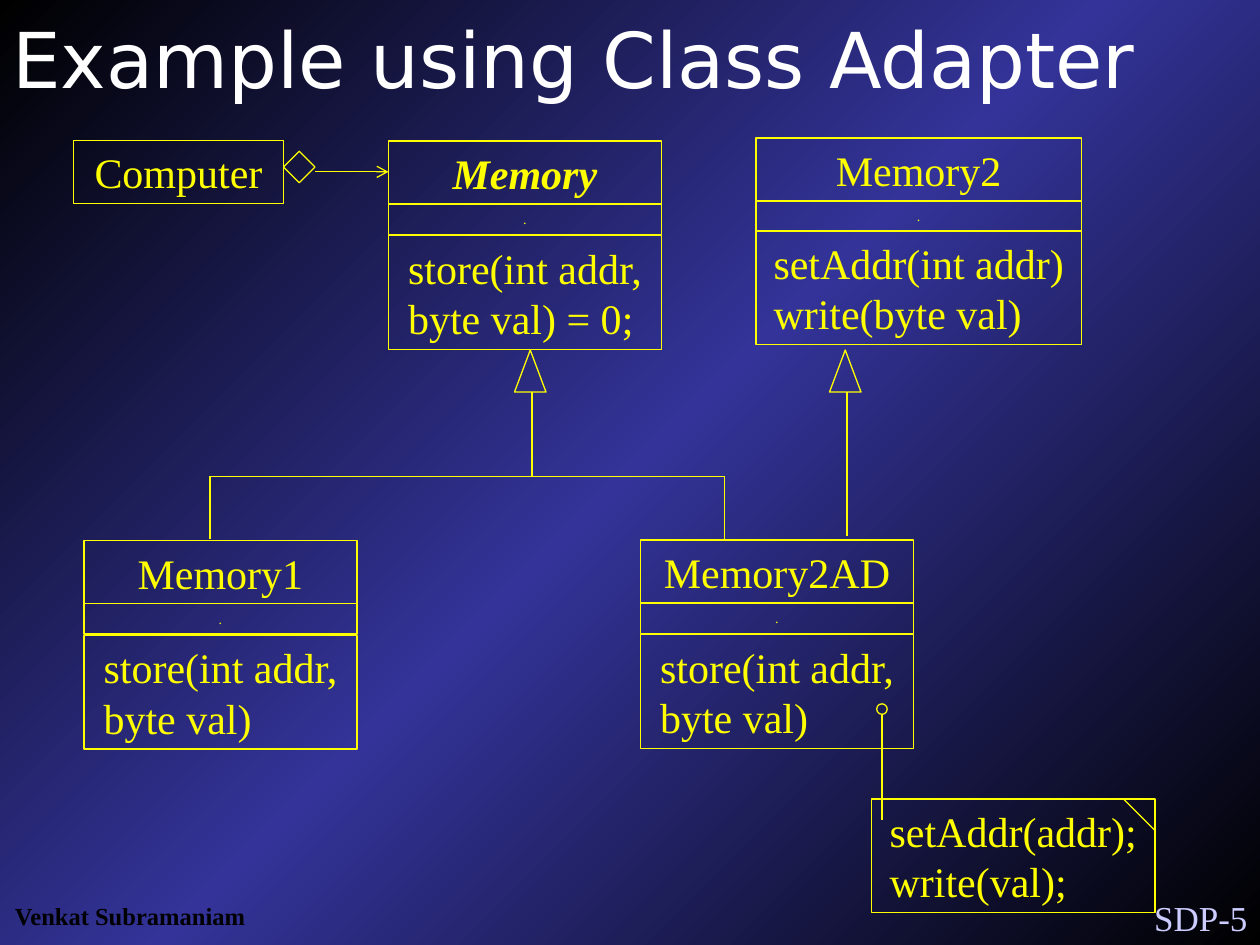
from lxml.etree import SubElement
from pptx import Presentation
from pptx.dml.color import RGBColor
from pptx.enum.shapes import MSO_CONNECTOR as CONN, MSO_SHAPE as SHAPE
from pptx.enum.text import MSO_ANCHOR as ANCHOR, MSO_AUTO_SIZE as FIT, PP_ALIGN as ALIGN
from pptx.oxml.ns import qn
from pptx.util import Pt

COLORS = {"ink": "FFFF00", "title": "FFFFFF", "number": "CCCCFF",
          "dark": "000000", "glow": "333399"}
SERIF, SANS = "Times New Roman", "DejaVu Sans"


class Diagram:
    """Holds the drawing style and the current slide."""

    def __init__(self, slide, line_width=0.75):
        self.s = slide
        self.line_width = Pt(line_width)

    def color(self, name):
        return RGBColor.from_string(COLORS[name])

    def background(self, stops, angle):
        fill = self.s.background.fill
        fill.gradient()
        fill.gradient_angle = angle
        stop_list = self.s.element.find(".//" + qn("a:gsLst"))
        for old in list(stop_list):
            stop_list.remove(old)
        for percent, name in stops:
            stop = SubElement(stop_list, qn("a:gs"), pos=str(percent * 1000))
            SubElement(stop, qn("a:srgbClr"), val=COLORS[name])

    def set_text(self, sp, text, color="ink", align=ALIGN.LEFT, before=0,
                 frame=None, **font):
        tf = sp.text_frame
        for key, value in {"word_wrap": True, **(frame or {})}.items():
            setattr(tf, key, value)
        p = tf.paragraphs[0]
        p.alignment, p.space_before = align, Pt(before)
        r = p.add_run()
        r.text = text
        r.font.color.rgb = self.color(color)
        for key, value in {"name": SERIF, "size": Pt(24), **font}.items():
            setattr(r.font, key, value)

    def label(self, x, y, w, h, text, **style):
        sp = self.s.shapes.add_textbox(Pt(x), Pt(y), Pt(w), Pt(h))
        self.set_text(sp, text, **style)

    def shape(self, kind, x, y, w, h):
        sp = self.s.shapes.add_shape(kind, Pt(x), Pt(y), Pt(w), Pt(h))
        sp.shadow.inherit = False
        sp.fill.background()
        sp.line.color.rgb = self.color("ink")
        sp.line.width = self.line_width
        return sp

    def box(self, x, y, w, h, text, before=15, **font):
        sp = self.shape(SHAPE.RECTANGLE, x, y, w, h)
        frame = {"vertical_anchor": ANCHOR.MIDDLE, "auto_size": FIT.SHAPE_TO_FIT_TEXT}
        self.set_text(sp, text, before=before, frame=frame, **font)
        # Centre the text block while its lines stay left-aligned
        sp.element.find(".//" + qn("a:bodyPr")).set("anchorCtr", "1")

    def uml_class(self, x, y, w, name, methods, methods_top=54, **name_font):
        self.box(x, y, w, 36, name, **name_font)
        self.box(x, y + methods_top, w, 65, methods)
        self.box(x, y + 36, w, 17.3, ".", before=5, size=Pt(8))

    def line(self, x1, y1, x2, y2, arrow=False):
        c = self.s.shapes.add_connector(CONN.STRAIGHT, Pt(x1), Pt(y1), Pt(x2), Pt(y2))
        c.line.color.rgb = self.color("ink")
        c.line.width = self.line_width
        if arrow:
            SubElement(c.element.find(".//" + qn("a:ln")), qn("a:tailEnd"), type="arrow")
        SubElement(c.element.find(qn("p:spPr")), qn("a:effectLst"))


def main():
    prs = Presentation()
    prs.slide_width, prs.slide_height = Pt(720), Pt(540)
    d = Diagram(prs.slides.add_slide(prs.slide_layouts[6]))
    d.background([(0, "dark"), (50, "glow"), (100, "dark")], angle=135)

    # Footer and title
    d.label(618, 509, 102, 31.5, "SDP-5", color="number", align=ALIGN.RIGHT,
            before=12.5, size=Pt(20))
    d.label(0.9, 511.3, 147, 24.3, "Venkat Subramaniam", color="dark",
            align=ALIGN.CENTER, frame={"word_wrap": False}, size=Pt(14), bold=True)
    d.label(0, 18, 720, 30, "Example using Class Adapter", color="title",
            frame={"vertical_anchor": ANCHOR.MIDDLE}, name=SANS, size=Pt(44))

    # Classes
    d.box(42, 80.2, 120, 36, "Computer")
    d.uml_class(222, 80.6, 156, "Memory", "store(int addr, byte val) = 0;",
                bold=True, italic=True)
    d.uml_class(432, 78.8, 186, "Memory2", "setAddr(int addr) write(byte val)",
                methods_top=53)
    d.uml_class(48, 309, 156, "Memory1", "store(int addr, byte val)")
    d.uml_class(366, 308.6, 156, "Memory2AD", "store(int addr, byte val)")

    # Aggregation from Computer to Memory
    d.shape(SHAPE.DIAMOND, 162, 86.4, 18, 18)
    d.line(180, 98.2, 222, 98.2, arrow=True)

    # Inheritance from Memory and Memory2
    for x in (294, 474):
        d.shape(SHAPE.ISOSCELES_TRIANGLE, x, 200, 18, 24)
    rail = 272.2
    d.line(304, rail, 304, 224)
    d.line(120, rail, 414, rail)
    for x in (120, 414):
        d.line(x, 308.2, x, rail)
    d.line(484, 306, 484, 224)

    # Note with folded corner, tied to the store method
    d.box(498, 456.6, 162, 65, "setAddr(addr); write(val);")
    d.line(642, 456.6, 660, 474.6)
    d.line(504, 408.2, 504, 468.6)
    d.shape(SHAPE.OVAL, 501, 402.2, 6, 6)

    prs.save("out.pptx")


if __name__ == "__main__":
    main()
